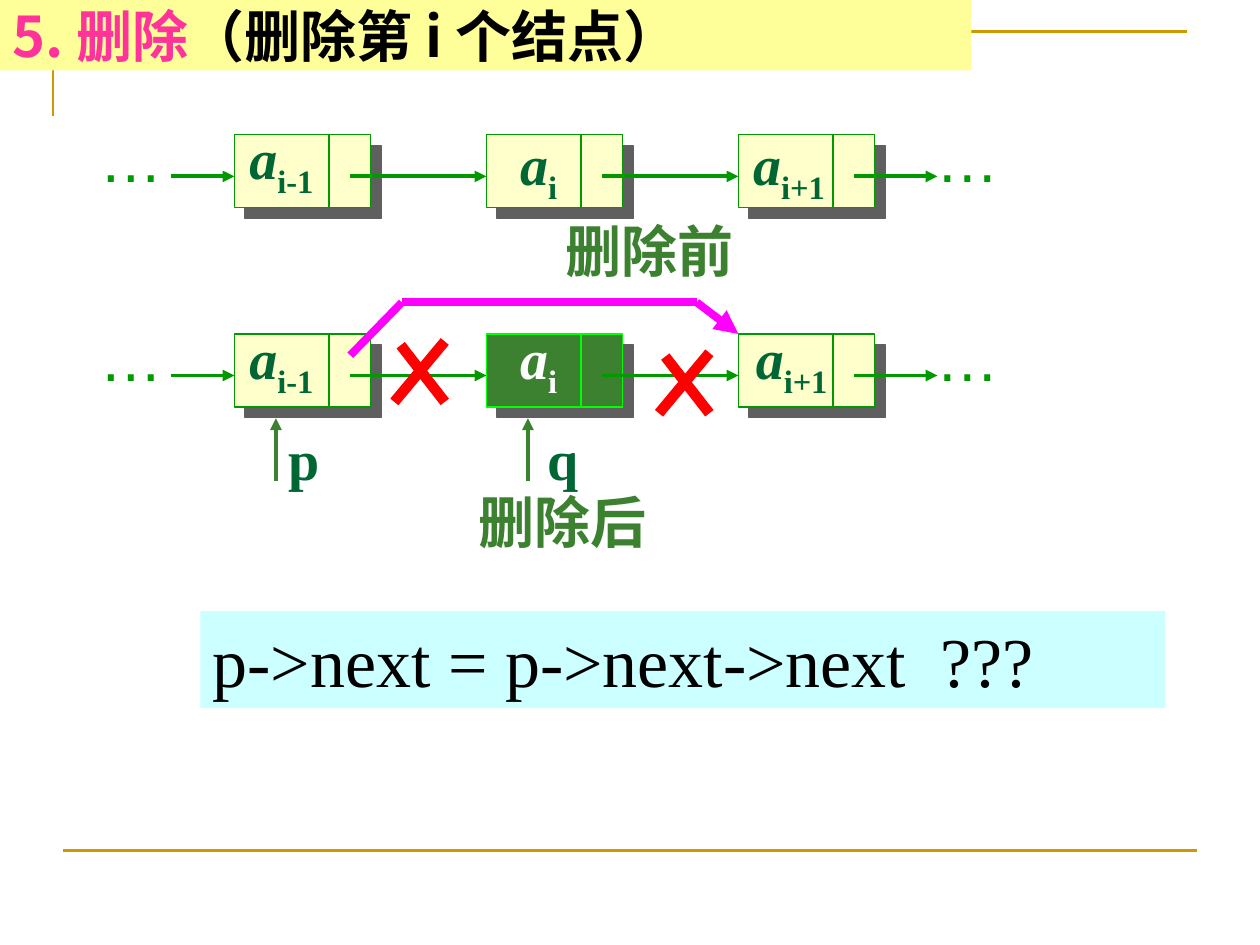
from lxml.etree import SubElement
from pptx import Presentation
from pptx.dml.color import RGBColor
from pptx.enum.shapes import MSO_CONNECTOR as Connector, MSO_SHAPE as Shape
from pptx.enum.text import MSO_ANCHOR as Anchor, PP_ALIGN as Align
from pptx.oxml.ns import qn
from pptx.util import Inches, Pt

# ---- Content ----
TITLE = [("5. 删除", "FF3399"), ("（删除第 i 个结点）", "000000")]
CODE = "p->next = p->next->next  ???"
SUBSCRIPTS = ["i-1", "i", "i+1"]
LABEL_WIDTHS = [0.75, 0.55, 0.8]
# Each list: top of its nodes, (left, top) of the three labels, removed node
LISTS = [
    (1.07, [(1.88, 0.93), (4.03, 0.98), (5.88, 0.98)], None),
    (2.65, [(1.88, 2.52), (4.03, 2.52), (5.9, 2.52)], 1),
]
CAPTIONS = [("删除前", 4.39, 1.67), ("删除后", 3.7, 3.82)]
POINTERS = [("p", 2.19, 2.19), ("q", 4.19, 4.25)]  # name, arrow x, label left
BYPASS = [(2.78, 2.82), (3.19, 2.4), (5.53, 2.4), (5.86, 2.65)]
CROSSES = [(3.13, 2.71), (5.23, 2.8)]

# ---- Style and grid ----
SERIF, SANS, CHINESE = "Times New Roman", "Arial", "Noto Sans CJK SC"
GREEN, DARK, LEAF, GOLD = "009900", "006633", "3B812F", "CC9900"
NODE_LEFT, NODE_STEP, NODE_WIDTH, NODE_HEIGHT = 1.86, 2, 1.08, 0.58
DIVIDER, LINK_START, LINK_DROP = 0.75, 0.92, 0.33
CHAIN_START, CHAIN_END = 1.36, 7.44

presentation = Presentation()
presentation.slide_width, presentation.slide_height = Inches(10), Inches(7.5)
slide = presentation.slides.add_slide(presentation.slide_layouts[5])
shapes = slide.shapes


def color(value):
    return RGBColor.from_string(value)


def place(shape, left, top, width, height):
    shape.left, shape.top = Inches(left), Inches(top)
    shape.width, shape.height = Inches(width), Inches(height)


def paint(shape, fill):
    shape.fill.solid()
    shape.fill.fore_color.rgb = color(fill)


def outline(shape, value, width):
    shape.line.color.rgb = color(value)
    shape.line.width = Pt(width)


def add_run(paragraph, text, size, font, value, bold=False, italic=False):
    run = paragraph.add_run()
    run.text = text
    run.font.size, run.font.name = Pt(size), font
    run.font.bold, run.font.italic = bold, italic
    run.font.color.rgb = color(value)
    SubElement(run._r.get_or_add_rPr(), qn("a:ea")).set("typeface", CHINESE)
    return run


def add_text(left, top, width, height, text, size, font, value, bold=False, italic=False):
    box = shapes.add_textbox(*map(Inches, (left, top, width, height)))
    box.text_frame.word_wrap = True
    paragraph = box.text_frame.paragraphs[0]
    add_run(paragraph, text, size, font, value, bold, italic)
    return box


def add_line(start, end, value, width, arrow=False, parent=shapes):
    points = map(Inches, (*start, *end))
    line = parent.add_connector(Connector.STRAIGHT, *points)
    outline(line, value, width)
    if arrow:
        SubElement(line.line._get_or_add_ln(), qn("a:tailEnd")).set("type", "triangle")
    SubElement(line._element.spPr, qn("a:effectLst"))


def add_node(left, top, fill, edge):
    node = shapes.add_shape(Shape.RECTANGLE, *map(Inches, (left, top, NODE_WIDTH, NODE_HEIGHT)))
    paint(node, fill)
    outline(node, edge, 0.75)
    node.shadow.inherit = False
    effects = node._element.spPr.find(qn("a:effectLst"))
    shadow = SubElement(effects, qn("a:outerShdw"), dist=str(Pt(8.5)),
                        dir=str(45 * 60000), algn="ctr", rotWithShape="0")
    SubElement(shadow, qn("a:srgbClr")).set("val", "5F5F5F")
    divider = left + DIVIDER
    add_line((divider, top), (divider, top + NODE_HEIGHT), edge, 1.5)


def add_label(left, top, width, subscript, value):
    box = add_text(left, top, width, 0.71, "a", 32, SERIF, value, True, True)
    run = add_run(box.text_frame.paragraphs[0], subscript, 32, SERIF, value, True)
    run.font._element.set("baseline", "-25000")


# ---- Frame lines ----
builder = shapes.build_freeform(Inches(0.42), Inches(0.92), scale=1.0)
builder.add_line_segments([(Inches(0.42), Inches(0.25)), (Inches(9.42), Inches(0.25))], close=False)
corner = builder.convert_to_shape()
corner.fill.background()
outline(corner, GOLD, 1.5)
corner.shadow.inherit = False
add_line((0.5, 6.75), (9.5, 6.75), GOLD, 1.5)

# ---- Title, in front of the frame ----
title = shapes.title
shapes._spTree.append(title._element)
place(title, 0, 0, 7.71, 0.56)
paint(title, "FFFF99")
title.text_frame.vertical_anchor = Anchor.MIDDLE
title_paragraph = title.text_frame.paragraphs[0]
title_paragraph.alignment = Align.LEFT
for text, value in TITLE:
    add_run(title_paragraph, text, 32, CHINESE, value, True)

# ---- Code line ----
paint(add_text(1.59, 4.85, 7.66, 0.77, CODE, 40, SERIF, "000000"), "CCFFFF")

# ---- Linked lists before and after the deletion ----
for top, label_places, removed in LISTS:
    link_y = top + LINK_DROP
    link_start = CHAIN_START
    for index, subscript in enumerate(SUBSCRIPTS):
        left = NODE_LEFT + index * NODE_STEP
        fill, edge, ink = (LEAF, "00FF00", "FFFFFF") if index == removed else ("FFFFCC", GREEN, DARK)
        add_line((link_start, link_y), (left, link_y), GREEN, 2.25, arrow=True)
        add_node(left, top, fill, edge)
        add_label(*label_places[index], LABEL_WIDTHS[index], subscript, ink)
        link_start = left + LINK_START
    add_line((link_start, link_y), (CHAIN_END, link_y), GREEN, 2.25, arrow=True)
    for left in (0.69, 7.33):
        dots = add_text(left, top - 0.17, 0.7, 0.7, "…", 36, SANS, GREEN)
        dots.text_frame.word_wrap = False

# ---- Pointers p and q ----
for name, x, label_left in POINTERS:
    add_line((x, 3.82), (x, 3.32), LEAF, 2.25, arrow=True)
    add_text(label_left, 3.32, 0.45, 0.64, name, 32, SERIF, DARK, True)

# ---- New link around the removed node ----
for start, end in zip(BYPASS, BYPASS[1:]):
    add_line(start, end, "FF00FF", 4.5, arrow=end == BYPASS[-1])

# ---- Captions ----
for text, left, top in CAPTIONS:
    add_text(left, top, 1.6, 0.64, text, 32, SERIF, LEAF, True)

# ---- Crosses on the cut links ----
for left, top in CROSSES:
    cross = shapes.add_group_shape().shapes
    right, bottom = left + 0.4, top + 0.48
    add_line((left + 0.05, top + 0.03), (right, bottom), "FF0000", 6, parent=cross)
    add_line((right, top), (left, bottom), "FF0000", 6, parent=cross)

presentation.save("out.pptx")
